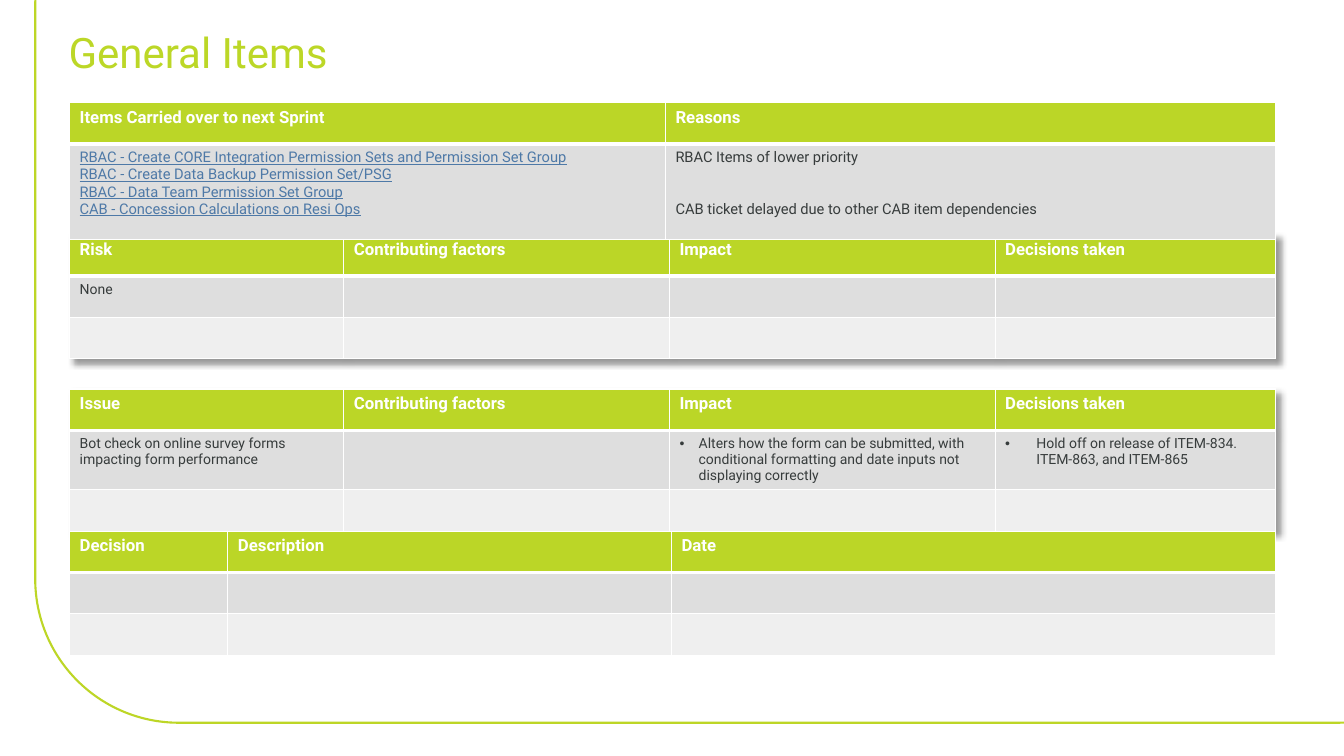
from dataclasses import dataclass, field

from lxml.etree import SubElement
from pptx import Presentation
from pptx.dml.color import RGBColor
from pptx.enum.shapes import MSO_SHAPE
from pptx.enum.text import MSO_ANCHOR, PP_ALIGN
from pptx.oxml import parse_xml
from pptx.oxml.ns import nsdecls, qn
from pptx.util import Inches, Pt

FONT = "Roboto"
WHITE, LIME, INK, LINK = "FFFFFF", "BBD627", "373C3C", "4E79A7"
ROW_FILLS = (LIME, "DEDEDE", "EFEFEF")
TABLE_LEFT, ROW_HEIGHT = 0.69, 0.41


@dataclass
class Para:
    text: str
    size: float = 10
    color: str = INK
    bold: bool = False
    underline: bool = False
    indent: float = 0  # hanging bullet indent, inches
    space_before: float = 0


@dataclass
class TableSpec:
    top: float
    widths: list[float]
    headers: list[str]
    body: dict[int, list[Para]] = field(default_factory=dict)  # first body row, by column
    body_height: float = ROW_HEIGHT
    rows: int = 3
    shadow: bool = False


def rgb(color: str) -> RGBColor:
    return RGBColor.from_string(color)


def set_borders(cell, top: float, bottom: float) -> None:
    tc_pr = cell._tc.get_or_add_tcPr()
    for side, width in (("L", 1), ("R", 1), ("T", top), ("B", bottom)):
        ln = SubElement(tc_pr, qn(f"a:ln{side}"), w=str(Pt(width)))
        fill = SubElement(ln, qn("a:solidFill"))
        SubElement(fill, qn("a:srgbClr"), val=WHITE)


def add_bullet(p, indent: float) -> None:
    p_pr = p._p.get_or_add_pPr()
    p_pr.set("marL", str(Inches(indent)))
    p_pr.set("indent", str(-Inches(indent)))
    SubElement(p_pr, qn("a:buFont"), typeface="Arial")
    SubElement(p_pr, qn("a:buChar"), char="•")


def write(cell, paras: list[Para]) -> None:
    tf = cell.text_frame
    for i, para in enumerate(paras):
        p = tf.add_paragraph() if i else tf.paragraphs[0]
        p.text = para.text
        if para.space_before:
            p.space_before = Pt(para.space_before)
        if para.indent:
            add_bullet(p, para.indent)
        font = p.runs[0].font
        font.name, font.size = FONT, Pt(para.size)
        font.bold, font.underline = para.bold, para.underline
        font.color.rgb = rgb(para.color)


def add_table_shadow(table) -> None:
    table._tbl.tblPr.insert(0, parse_xml(
        f'<a:effectLst {nsdecls("a")}>'
        '<a:outerShdw blurRad="50800" dist="50800" dir="2700000" algn="tl" rotWithShape="0">'
        '<a:srgbClr val="000000"><a:alpha val="40000"/></a:srgbClr>'
        '</a:outerShdw></a:effectLst>'))


def draw_table(s, spec: TableSpec) -> None:
    heights = [spec.body_height if r == 1 else ROW_HEIGHT for r in range(spec.rows)]
    table = s.shapes.add_table(
        spec.rows, len(spec.widths), Inches(TABLE_LEFT), Inches(spec.top),
        Inches(sum(spec.widths)), Inches(sum(heights))).table
    for column, width in zip(table.columns, spec.widths):
        column.width = Inches(width)
    for r, height in enumerate(heights):
        table.rows[r].height = Inches(height)
        for c, header in enumerate(spec.headers):
            cell = table.cell(r, c)
            set_borders(cell, 3 if r == 1 else 1, 3 if r == 0 else 1)
            cell.fill.solid()
            cell.fill.fore_color.rgb = rgb(ROW_FILLS[r])
            if r == 0:
                write(cell, [Para(header, 12, WHITE, bold=True)])
            elif r == 1:
                write(cell, spec.body.get(c, []))
    if spec.shadow:
        add_table_shadow(table)


def draw_frame(s) -> None:
    frame = s.shapes.add_shape(MSO_SHAPE.ROUNDED_RECTANGLE, Inches(0.35), Inches(-1.38),
                               Inches(14.34), Inches(8.55))
    frame.shadow.inherit = False
    frame.fill.background()
    frame.line.color.rgb = rgb("BDD626")
    frame.line.width = Pt(1.5)


def draw_title(s, text: str) -> None:
    title = s.shapes.title
    title.left, title.top = Inches(0.68), Inches(0.2)
    title.width, title.height = Inches(10.87), Inches(0.63)
    tf = title.text_frame
    tf.text = text
    tf.vertical_anchor = MSO_ANCHOR.MIDDLE
    tf.margin_left = tf.margin_right = tf.margin_top = tf.margin_bottom = 0
    p = tf.paragraphs[0]
    p.alignment = PP_ALIGN.LEFT
    font = p.runs[0].font
    font.name, font.size = FONT, Pt(30)
    font.color.rgb = rgb("BCD727")


CARRIED_OVER = [
    "RBAC - Create CORE Integration Permission Sets and Permission Set Group",
    "RBAC - Create Data Backup Permission Set/PSG",
    "RBAC - Data Team Permission Set Group",
    "CAB - Concession Calculations on Resi Ops",
]
LOG_WIDTHS = [2.72, 3.23, 3.23, 2.78]
LOG_HEADERS = ["Contributing factors", "Impact", "Decisions taken"]

TABLES = [
    TableSpec(2.33, LOG_WIDTHS, ["Risk", *LOG_HEADERS], {0: [Para("None")]}, shadow=True),
    TableSpec(3.86, LOG_WIDTHS, ["Issue", *LOG_HEADERS], {
        0: [Para("Bot check on online survey forms impacting form performance")],
        2: [Para("Alters how the form can be submitted, with conditional formatting "
                 "and date inputs not displaying correctly", indent=0.19)],
        3: [Para("Hold off on release of ITEM-834. ITEM-863, and ITEM-865", indent=0.31)],
    }, body_height=0.59, shadow=True),
    TableSpec(1.02, [5.91, 6.05], ["Items Carried over to next Sprint", "Reasons"], {
        0: [Para(item, 10.5, LINK, underline=True) for item in CARRIED_OVER],
        1: [Para("RBAC Items of lower priority", 10.5),
            Para("CAB ticket delayed due to other CAB item dependencies", 10.5,
                 space_before=24.6)],
    }, body_height=0.95, rows=2),
    TableSpec(5.27, [1.57, 4.4, 5.99], ["Decision", "Description", "Date"]),
]


def main() -> None:
    prs = Presentation()
    prs.slide_width, prs.slide_height = Inches(13.33), Inches(7.5)
    s = prs.slides.add_slide(prs.slide_layouts[5])
    draw_frame(s)
    draw_title(s, "General Items")
    for spec in TABLES:
        draw_table(s, spec)
    prs.save("out.pptx")


if __name__ == "__main__":
    main()
